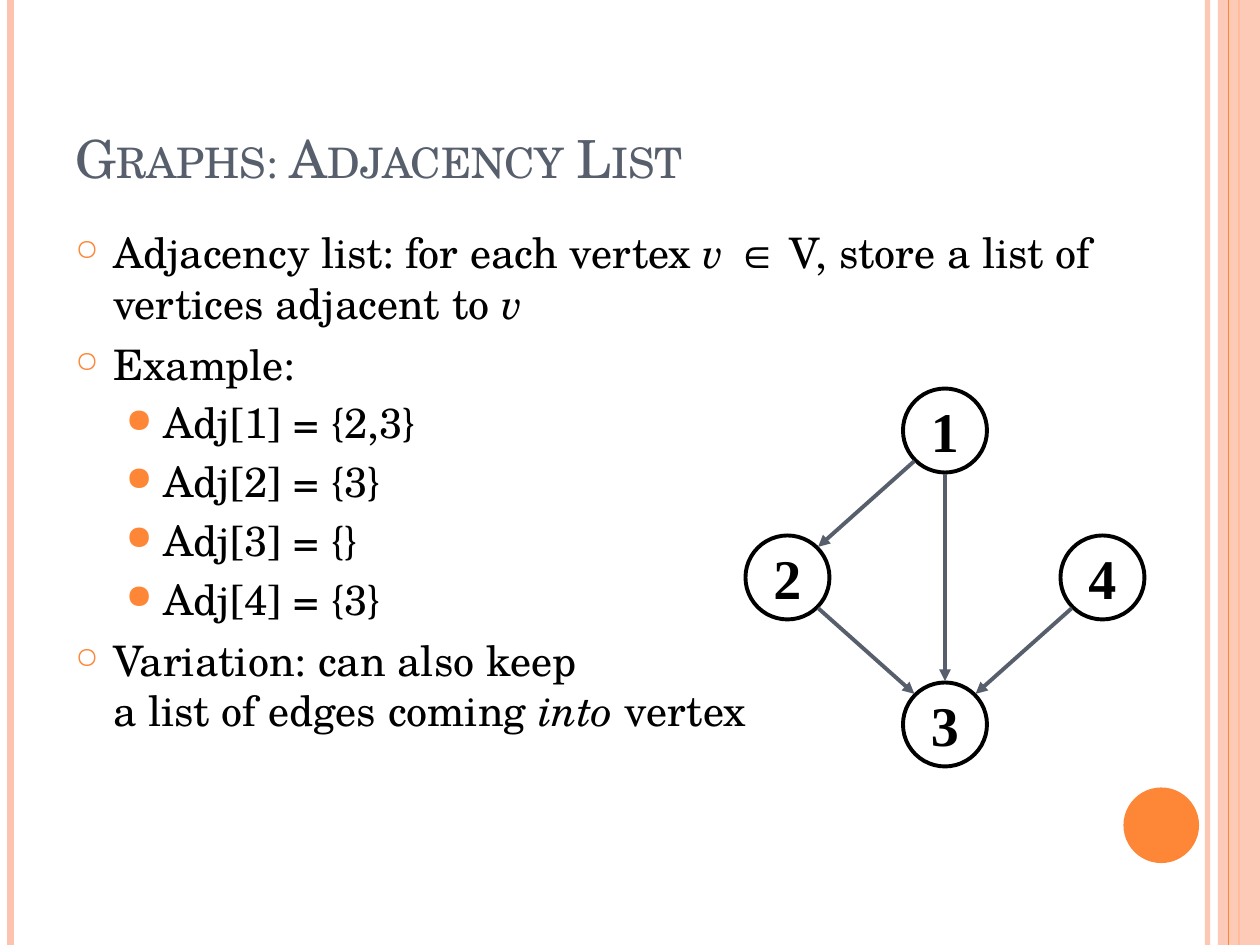
from math import hypot

from lxml.etree import SubElement
from pptx import Presentation
from pptx.dml.color import RGBColor
from pptx.enum.shapes import MSO_CONNECTOR, MSO_SHAPE
from pptx.enum.text import MSO_ANCHOR, PP_ALIGN
from pptx.oxml.ns import qn
from pptx.util import Pt

COLORS = {"orange": "FE8637", "peach": "FEC3AE", "slate": "575F6D",
          "black": "000000"}
BODY_FONT = "TeX Gyre Schola"
NODE_FONT = "Times New Roman"
WIDTH, HEIGHT = 720, 540

# Paragraph style per outline level, in points
LEVELS = [
    {"bullet": "○", "bullet_size": 70, "indent": 21.6, "before": 6},
    {"bullet": "●", "bullet_size": 80, "indent": 50.4, "before": 4.8},
]
HANGING = 21.6

# Each paragraph: level and runs of (text, italic); None is a line break
BODY = [
    (0, [("Adjacency list: for each vertex ", False), ("v ", True),
         ("∈ V, store a list of vertices adjacent to ", False), ("v", True)]),
    (0, [("Example:", False)]),
    (1, [("Adj[1] = {2,3}", False)]),
    (1, [("Adj[2] = {3}", False)]),
    (1, [("Adj[3] = {}", False)]),
    (1, [("Adj[4] = {3}", False)]),
    (0, [("Variation: can also keep", False), None,
         ("a list of edges coming ", False), ("into ", True),
         ("vertex", False)]),
]

# Graph: vertex centres and directed edges
VERTICES = {"1": (540, 246), "2": (450, 330), "4": (630, 330), "3": (540, 414)}
EDGES = ["12", "23", "43", "13"]
DIAMETER = 48
EDGE_GAP = 24.75


def rgb(color):
    return RGBColor.from_string(COLORS[color])


def set_alpha(properties, percent):
    """Make the first solid colour below properties partly transparent."""
    color = next(properties.iter(qn("a:srgbClr")))
    SubElement(color, qn("a:alpha"), val=str(percent * 1000))


class SlideBuilder:
    def __init__(self, slide):
        self.slide = slide

    def style_font(self, font, color="black", **values):
        for name, value in values.items():
            setattr(font, name, value)
        font.color.rgb = rgb(color)

    def line(self, start, end, color, width, alpha=None, arrow=False):
        points = [Pt(value) for value in (*start, *end)]
        connector = self.slide.shapes.add_connector(
            MSO_CONNECTOR.STRAIGHT, *points)
        connector.line.color.rgb = rgb(color)
        connector.line.width = Pt(width)
        properties = connector._element.spPr
        if alpha:
            set_alpha(properties, alpha)
        if arrow:
            SubElement(connector.line._get_or_add_ln(), qn("a:tailEnd"),
                       type="triangle")
        SubElement(properties, qn("a:effectLst"))

    def shape(self, kind, box, fill=None, outline=None, alpha=None):
        shape = self.slide.shapes.add_shape(kind, *[Pt(v) for v in box])
        shape.shadow.inherit = False
        if fill:
            shape.fill.solid()
            shape.fill.fore_color.rgb = rgb(fill)
        else:
            shape.fill.background()
        if outline:
            shape.line.color.rgb = rgb(outline)
            shape.line.width = Pt(2.25)
        else:
            shape.line.fill.background()
        if alpha:
            set_alpha(shape._element.spPr, alpha)
        return shape

    def vertex(self, label, center):
        x, y = center
        radius = DIAMETER / 2
        shape = self.shape(MSO_SHAPE.OVAL, (x - radius, y - radius,
                                            DIAMETER, DIAMETER),
                           outline="black")
        frame = shape.text_frame
        frame.word_wrap = False
        frame.vertical_anchor = MSO_ANCHOR.MIDDLE
        paragraph = frame.paragraphs[0]
        paragraph.alignment = PP_ALIGN.CENTER
        run = paragraph.add_run()
        run.text = label
        self.style_font(run.font, name=NODE_FONT, size=Pt(32), bold=True)

    def edge(self, start, end):
        dx, dy = end[0] - start[0], end[1] - start[1]
        # Diagonal edges leave at 45 degrees, the others straight
        step_x, step_y = (dx > 0) - (dx < 0), (dy > 0) - (dy < 0)
        scale = EDGE_GAP / hypot(step_x, step_y)
        offset_x, offset_y = step_x * scale, step_y * scale
        self.line((start[0] + offset_x, start[1] + offset_y),
                  (end[0] - offset_x, end[1] - offset_y),
                  "slate", 2.25, arrow=True)

    def text_box(self, box, anchor):
        frame = self.slide.shapes.add_textbox(*[Pt(v) for v in box]).text_frame
        frame.word_wrap = True
        frame.vertical_anchor = anchor
        return frame

    def title(self, text, box):
        frame = self.text_box(box, MSO_ANCHOR.BOTTOM)
        run = frame.paragraphs[0].add_run()
        run.text = text
        self.style_font(run.font, "slate", name=BODY_FONT, size=Pt(30))
        run._r.get_or_add_rPr().set("cap", "small")

    def bullets(self, items, box):
        frame = self.text_box(box, MSO_ANCHOR.TOP)
        for index, (level, runs) in enumerate(items):
            style = LEVELS[level]
            paragraph = frame.add_paragraph() if index else frame.paragraphs[0]
            paragraph.level = level
            paragraph.space_before = Pt(style["before"] if index else 0)
            properties = paragraph._p.get_or_add_pPr()
            properties.set("marL", str(Pt(style["indent"])))
            properties.set("indent", str(-Pt(HANGING)))
            color = SubElement(properties, qn("a:buClr"))
            SubElement(color, qn("a:srgbClr"), val=COLORS["orange"])
            SubElement(properties, qn("a:buSzPct"),
                       val=str(style["bullet_size"] * 1000))
            SubElement(properties, qn("a:buChar"), char=style["bullet"])
            self.style_font(paragraph.font, name=BODY_FONT, size=Pt(24))
            for part in runs:
                if part is None:
                    paragraph.add_line_break()
                    continue
                run = paragraph.add_run()
                run.text, italic = part
                self.style_font(run.font, name=BODY_FONT, size=Pt(24),
                                italic=italic)


def main():
    presentation = Presentation()
    presentation.slide_width, presentation.slide_height = Pt(WIDTH), Pt(HEIGHT)
    builder = SlideBuilder(
        presentation.slides.add_slide(presentation.slide_layouts[6]))

    # Side stripes and corner disc
    builder.line((690, 0), (690, HEIGHT), "peach", 3, alpha=93)
    builder.line((6, 0), (6, HEIGHT), "peach", 4.5)
    builder.line((708, 0), (708, HEIGHT), "orange", 1.5)
    builder.shape(MSO_SHAPE.RECTANGLE, (696, 0, 24, HEIGHT), "peach", alpha=87)
    builder.line((702, 0), (702, HEIGHT), "orange", 0.75)
    builder.shape(MSO_SHAPE.OVAL, (642, 450, 43.2, 43.2), "orange")

    # Title and outline
    builder.title("Graphs: Adjacency List", (36, 21.6, 606, 90))
    builder.bullets(BODY, (36, 126, 606, 384))

    # Directed graph
    for label, center in VERTICES.items():
        builder.vertex(label, center)
    for start, end in EDGES:
        builder.edge(VERTICES[start], VERTICES[end])

    presentation.save("out.pptx")


if __name__ == "__main__":
    main()
